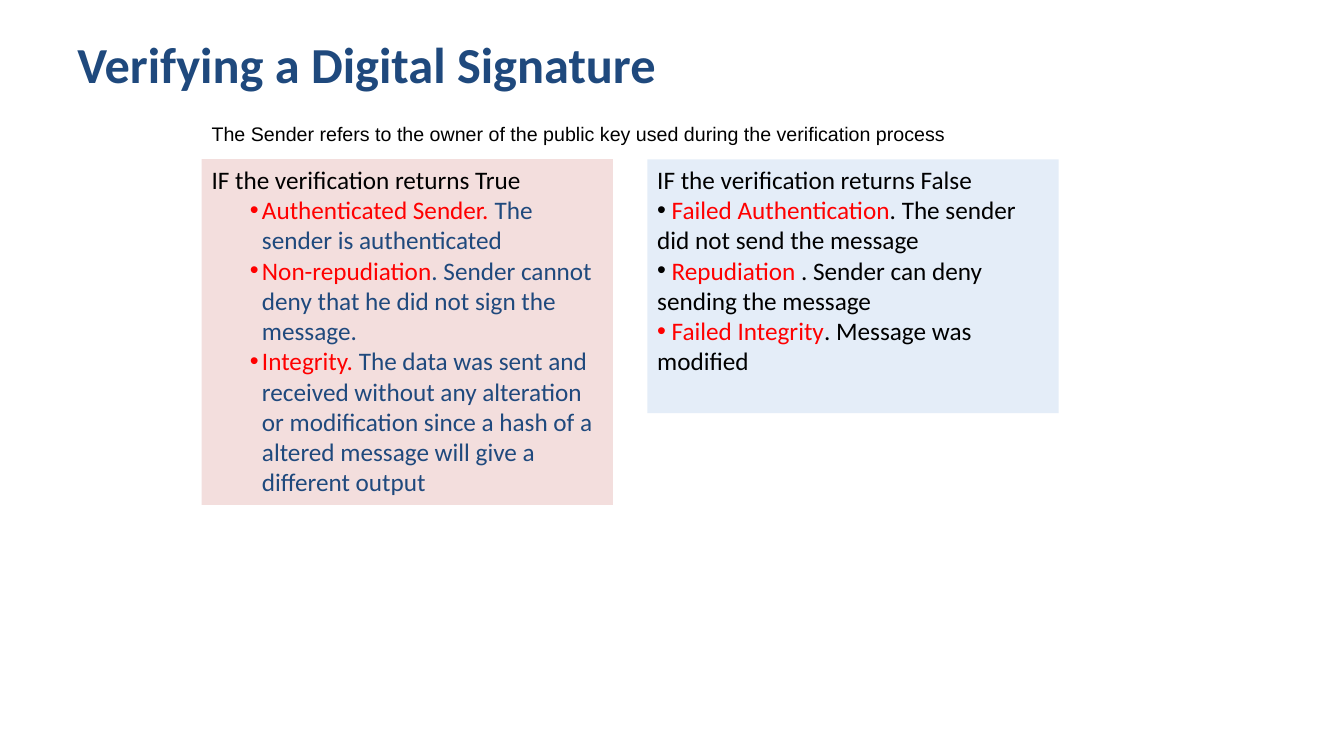
import pptx
import pptx.dml.color
import pptx.enum.shapes
import pptx.enum.text
import pptx.oxml
import pptx.oxml.ns
import pptx.util
from lxml import etree

RGBColor = pptx.dml.color.RGBColor
PX = 9144
NAVY = RGBColor(0x1F, 0x49, 0x7D)
RED = RGBColor(0xFF, 0x00, 0x00)
BLACK = RGBColor(0x00, 0x00, 0x00)
PINK = RGBColor(0xE5, 0xB8, 0xB7)
PALE_BLUE = RGBColor(0xC5, 0xD8, 0xF1)
PANEL_OPACITY = 46
HANGING = -12

TRUE_RESULTS = [
    (RED, [("Authenticated Sender. ", RED), ("The sender is authenticated", NAVY)]),
    (RED, [("Non-repudiation", RED),
           (". Sender cannot deny that he did not sign the message.", NAVY)]),
    (RED, [("Integrity. ", RED),
           ("The data was sent and received without any alteration or modification "
            "since a hash of a altered message will give a different output", NAVY)]),
]
FALSE_RESULTS = [
    (BLACK, [(" Failed Authentication", RED), (". The sender did not send the message", BLACK)]),
    (BLACK, [(" Repudiation", RED), (" . Sender can deny sending the message", BLACK)]),
    (RED, [(" Failed Integrity", RED), (". Message was modified", BLACK)]),
]


def px(*lengths):
    """Turn pixel lengths into EMU."""
    return [pptx.util.Emu(length * PX) for length in lengths]


def add_span(para, text, color, size, font="Calibri", bold=False):
    """Add one formatted run to a paragraph."""
    span = para.add_run()
    span.text = text
    span.font.name = font
    span.font.size = pptx.util.Pt(size)
    span.font.bold = bold
    span.font.color.rgb = color


def add_bullet(para, color, margin):
    """Give a paragraph a coloured hanging bullet."""
    qn = pptx.oxml.ns.qn
    properties = para._p.get_or_add_pPr()
    left, indent = px(margin, HANGING)
    properties.set("marL", str(left))
    properties.set("indent", str(indent))
    bullet_color = etree.SubElement(properties, qn("a:buClr"))
    etree.SubElement(bullet_color, qn("a:srgbClr"), val=str(color))
    etree.SubElement(properties, qn("a:buFont"), typeface="Arial")
    etree.SubElement(properties, qn("a:buChar"), char="•")


def add_line(page, area, text, color, size, font, bold=False, wrap=True):
    """Place a single line of text, centred vertically in its area."""
    box = page.shapes.add_textbox(*px(*area))
    frame = box.text_frame
    frame.word_wrap = wrap
    frame.vertical_anchor = pptx.enum.text.MSO_ANCHOR.MIDDLE
    add_span(frame.paragraphs[0], text, color, size, font, bold)


def add_panel(page, area, fill, heading, results, margin):
    """Place a tinted panel with a heading and bulleted results."""
    panel = page.shapes.add_shape(pptx.enum.shapes.MSO_SHAPE.RECTANGLE, *px(*area))
    panel.shadow.inherit = False
    panel.line.fill.background()
    panel.fill.solid()
    panel.fill.fore_color.rgb = fill
    qn = pptx.oxml.ns.qn
    tint = panel._element.spPr.find(qn("a:solidFill")).find(qn("a:srgbClr"))
    etree.SubElement(tint, qn("a:alpha"), val=str(PANEL_OPACITY * 1000))
    frame = panel.text_frame
    frame.word_wrap = True
    frame.vertical_anchor = pptx.enum.text.MSO_ANCHOR.TOP
    para = frame.paragraphs[0]
    para.alignment = pptx.enum.text.PP_ALIGN.LEFT
    add_span(para, heading, BLACK, 18)
    for bullet_color, spans in results:
        para = frame.add_paragraph()
        para.alignment = pptx.enum.text.PP_ALIGN.LEFT
        para.level = 1 if margin else 0
        add_bullet(para, bullet_color, margin)
        for text, color in spans:
            add_span(para, text, color, 18)


def main():
    """Build and save the slide."""
    deck = pptx.Presentation()
    deck.slide_width, deck.slide_height = px(1333, 750)
    page = deck.slides.add_slide(deck.slide_layouts[6])
    add_line(page, (67, 0, 1200, 125), "Verifying a Digital Signature",
             NAVY, 36, "Calibri", bold=True)
    add_panel(page, (200, 158, 408, 343), PINK,
              "IF the verification returns True", TRUE_RESULTS, 50)
    add_panel(page, (642, 158, 408, 252), PALE_BLUE,
              "IF the verification returns False", FALSE_RESULTS, 0)
    add_line(page, (200, 116, 751, 34),
             "The Sender refers to the owner of the public key used during the "
             "verification process", BLACK, 14, "Arial", wrap=False)
    deck.save("out.pptx")


if __name__ == "__main__":
    main()
